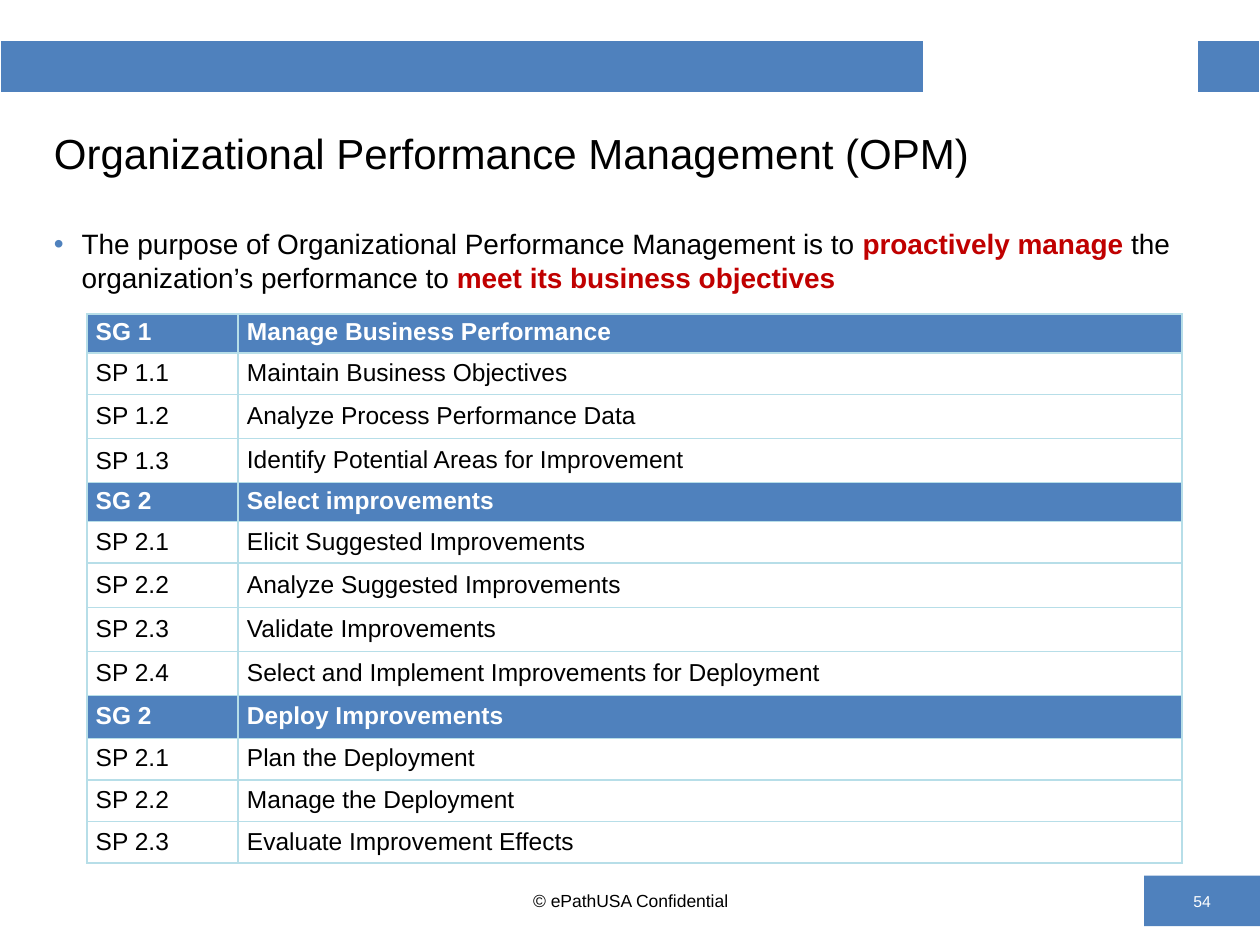
from typing import NamedTuple

from lxml.etree import SubElement
from pptx import Presentation
from pptx.dml.color import RGBColor
from pptx.enum.shapes import MSO_SHAPE as Shape
from pptx.enum.text import MSO_ANCHOR as Anchor, PP_ALIGN as Align
from pptx.oxml.ns import qn
from pptx.util import Inches, Pt

BLUE, PALE_BLUE, RED = "4F81BD", "B7DEE8", "C00000"
BLACK, WHITE = "000000", "FFFFFF"


class Span(NamedTuple):
    text: str
    color: str = BLACK
    bold: bool = False


class Practice(NamedTuple):
    code: str
    title: str
    height: float
    code_spacing: float = 0.95
    title_spacing: float = 0.95


PURPOSE = [
    Span("The purpose of Organizational Performance Management is to "),
    Span("proactively manage ", RED, True),
    Span("the organization’s performance to "),
    Span("meet its business objectives", RED, True),
]

PRACTICES = [
    Practice("SG 1", "Manage Business Performance", 0.31, 0.85, 0.85),
    Practice("SP 1.1", "Maintain Business Objectives", 0.33),
    Practice("SP 1.2", "Analyze Process Performance Data", 0.35, 1),
    Practice("SP 1.3", "Identify Potential Areas for Improvement", 0.35, 1),
    Practice("SG 2", "Select improvements", 0.31, 0.85, 0.85),
    Practice("SP 2.1", "Elicit Suggested Improvements", 0.33),
    Practice("SP 2.2", "Analyze Suggested Improvements", 0.35, 1),
    Practice("SP 2.3", "Validate Improvements", 0.35, 1),
    Practice("SP 2.4", "Select and Implement Improvements for Deployment", 0.35, 1),
    Practice("SG 2", "Deploy Improvements", 0.34),
    Practice("SP 2.1", "Plan the Deployment", 0.33),
    Practice("SP 2.2", "Manage the Deployment", 0.33),
    Practice("SP 2.3", "Evaluate Improvement Effects", 0.33),
]


def rgb(color: str) -> RGBColor:
    return RGBColor.from_string(color)


def style_font(font, size: float, color: str, bold: bool = False) -> None:
    font.name = "Arial"
    font.size = Pt(size)
    font.bold = bold
    font.color.rgb = rgb(color)


def write_spans(paragraph, spans: list[Span], size: float) -> None:
    for span in spans:
        run = paragraph.add_run()
        run.text = span.text
        style_font(run.font, size, span.color, span.bold)


def add_text(page, left: float, top: float, width: float, height: float,
             spans: list[Span], size: float, anchor=Anchor.MIDDLE, align=Align.LEFT):
    """Add a wrapped one-paragraph text box and return its paragraph."""
    box = page.shapes.add_textbox(Inches(left), Inches(top), Inches(width), Inches(height))
    frame = box.text_frame
    frame.word_wrap = True
    frame.vertical_anchor = anchor
    paragraph = frame.paragraphs[0]
    paragraph.alignment = align
    write_spans(paragraph, spans, size)
    return paragraph


def set_bullet(paragraph, color: str, indent: float) -> None:
    properties = paragraph._p.get_or_add_pPr()
    properties.set("marL", str(Inches(indent)))
    properties.set("indent", str(-Inches(indent)))
    bullet_color = SubElement(properties, qn("a:buClr"))
    SubElement(bullet_color, qn("a:srgbClr"), val=color)
    SubElement(properties, qn("a:buFont"), typeface="Arial")
    SubElement(properties, qn("a:buChar"), char="•")


def set_borders(cell, color: str, bottom_width: float = 1) -> None:
    """Draw all four borders; call before the cell is filled."""
    properties = cell._tc.get_or_add_tcPr()
    for side, width in (("L", 1), ("R", 1), ("T", 1), ("B", bottom_width)):
        line = SubElement(properties, qn(f"a:ln{side}"), w=str(Pt(width)))
        fill = SubElement(line, qn("a:solidFill"))
        SubElement(fill, qn("a:srgbClr"), val=color)


def fill_cell(cell, filled: bool) -> None:
    if filled:
        cell.fill.solid()
        cell.fill.fore_color.rgb = rgb(BLUE)
    else:
        cell.fill.background()


def add_table(page, left: float, top: float, widths: list[float], heights: list[float]):
    frame = page.shapes.add_table(len(heights), len(widths), Inches(left), Inches(top),
                                  Inches(sum(widths)), Inches(sum(heights)))
    table = frame.table
    table.first_row = table.horz_banding = False
    for column, width in zip(table.columns, widths):
        column.width = Inches(width)
    for row, height in zip(table.rows, heights):
        row.height = Inches(height)
    return table


def set_margins(target) -> None:
    target.margin_left = target.margin_right = Inches(0.07)
    target.margin_top = target.margin_bottom = Inches(0.04)


def add_top_band(page) -> None:
    table = add_table(page, 0, 0.32, [7.33, 2.17, 0.5], [0.43])
    for index, cell in enumerate(table.rows[0].cells):
        set_borders(cell, WHITE, bottom_width=3)
        fill_cell(cell, index != 1)


def add_page_number(page, number: str) -> None:
    box = page.shapes.add_shape(Shape.RECTANGLE, Inches(9.08), Inches(6.95),
                                Inches(0.92), Inches(0.4))
    box.shadow.inherit = False
    box.fill.solid()
    box.fill.fore_color.rgb = rgb(BLUE)
    box.line.fill.background()
    set_margins(box.text_frame)
    box.text_frame.vertical_anchor = Anchor.MIDDLE
    paragraph = box.text_frame.paragraphs[0]
    paragraph.alignment = Align.CENTER
    write_spans(paragraph, [Span(number, WHITE)], 9)


def add_practices(page, practices: list[Practice]) -> None:
    table = add_table(page, 0.69, 2.49, [1.2, 7.49], [item.height for item in practices])
    for row, item in zip(table.rows, practices):
        is_goal = item.code.startswith("SG")
        texts = (item.code, item.code_spacing), (item.title, item.title_spacing)
        for cell, (text, spacing) in zip(row.cells, texts):
            set_borders(cell, PALE_BLUE)
            fill_cell(cell, is_goal)
            set_margins(cell)
            cell.vertical_anchor = Anchor.MIDDLE
            paragraph = cell.text_frame.paragraphs[0]
            paragraph.line_spacing = spacing
            write_spans(paragraph, [Span(text, WHITE if is_goal else BLACK, is_goal)], 14)


def main() -> None:
    deck = Presentation()
    deck.slide_width, deck.slide_height = Inches(10), Inches(7.5)
    page = deck.slides.add_slide(deck.slide_layouts[6])

    add_top_band(page)
    add_page_number(page, "54")
    add_text(page, 0.33, 0.85, 9.33, 0.73,
             [Span("Organizational Performance Management (OPM)")], 24)
    purpose = add_text(page, 0.33, 1.75, 9.33, 5.09, PURPOSE, 16, Anchor.TOP)
    set_bullet(purpose, BLUE, 0.22)
    add_practices(page, PRACTICES)
    add_text(page, 3.42, 6.95, 3.17, 0.4,
             [Span("© ePathUSA Confidential")], 10, align=Align.CENTER)

    deck.save("out.pptx")


if __name__ == "__main__":
    main()
